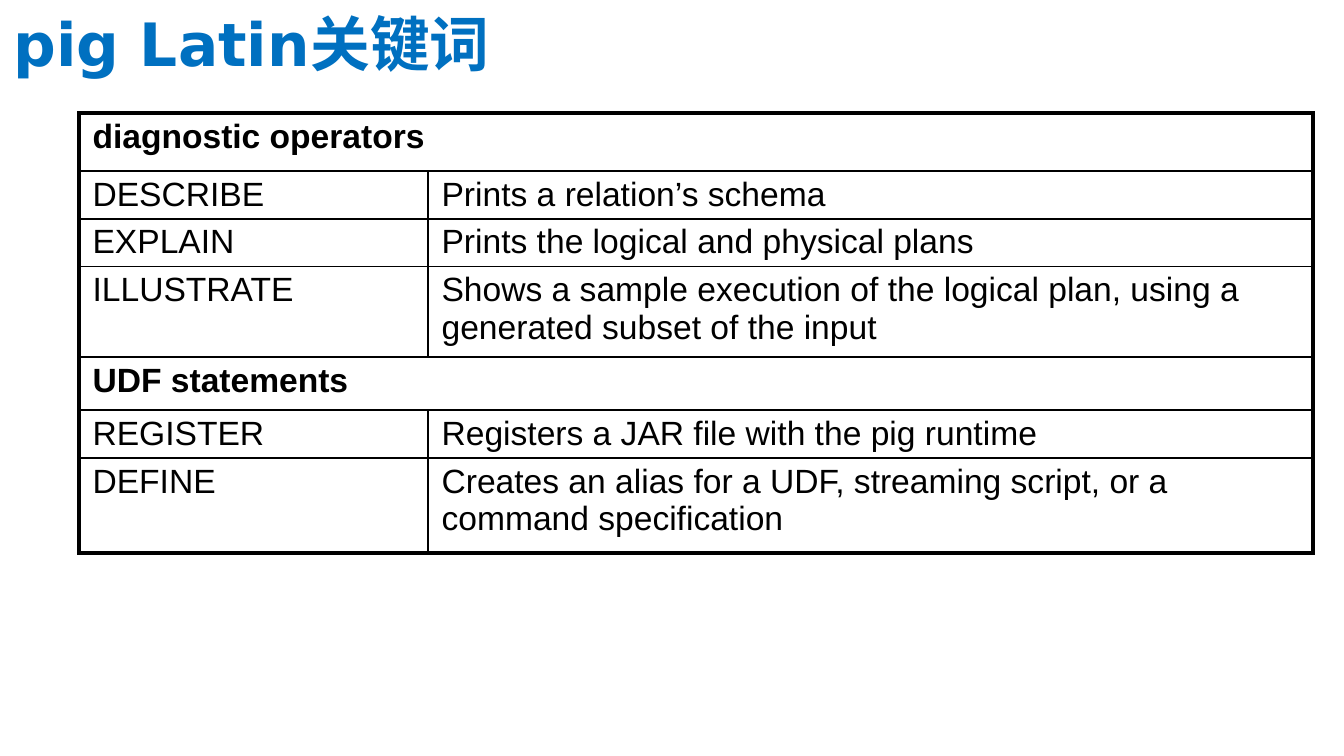
from lxml import etree
from pptx import Presentation
from pptx.dml.color import RGBColor
from pptx.enum import text
from pptx.oxml import ns
from pptx.util import Pt

BLACK = RGBColor(0x00, 0x00, 0x00)
BLUE = RGBColor(0x00, 0x70, 0xC0)

COLUMN_WIDTHS = [187, 474]
# (height, texts); a row with one text is a heading across the table
ROWS = [
    (31, ["diagnostic operators"]),
    (25.6, ["DESCRIBE", "Prints a relation’s schema"]),
    (25.6, ["EXPLAIN", "Prints the logical and physical plans"]),
    (48.6, ["ILLUSTRATE", "Shows a sample execution of the logical plan, "
            "using a generated subset of the input"]),
    (28.4, ["UDF statements"]),
    (25.6, ["REGISTER", "Registers a JAR file with the pig runtime"]),
    (51, ["DEFINE", "Creates an alias for a UDF, streaming script, "
          "or a command specification"]),
]


class SlideBuilder:
    title_font, title_size = "DejaVu Sans", 32
    body_font, body_size = "Arial", 18
    outer_line, inner_line = 2.25, 1

    def __init__(self, page):
        self.page = page

    def add_span(self, para, words, font, size, color, bold):
        span = para.add_run()
        span.text = words
        span.font.name = font
        span.font.size = Pt(size)
        span.font.color.rgb = color
        span.font.bold = bold

    def add_title(self, words, left, top, width, height):
        box = self.page.shapes.add_textbox(Pt(left), Pt(top), Pt(width), Pt(height))
        box.text_frame.word_wrap = True
        box.text_frame.auto_size = text.MSO_AUTO_SIZE.SHAPE_TO_FIT_TEXT
        self.add_span(box.text_frame.paragraphs[0], words, self.title_font,
                      self.title_size, BLUE, True)

    def set_borders(self, cell, widths):
        """Draw black cell borders; widths maps L, R, T, B to points."""
        props = cell._tc.get_or_add_tcPr()
        for position, (side, width) in enumerate(widths.items()):
            line = etree.Element(ns.qn(f"a:ln{side}"), w=str(Pt(width)))
            fill = etree.SubElement(line, ns.qn("a:solidFill"))
            etree.SubElement(fill, ns.qn("a:srgbClr"), val=str(BLACK))
            props.insert(position, line)

    def add_table(self, rows, column_widths, left, top):
        height = sum(row_height for row_height, _ in rows)
        table = self.page.shapes.add_table(
            len(rows), len(column_widths), Pt(left), Pt(top),
            Pt(sum(column_widths)), Pt(height)).table
        table.first_row = table.horz_banding = False
        for column, width in zip(table.columns, column_widths):
            column.width = Pt(width)
        last_row, last_column = len(rows) - 1, len(column_widths) - 1
        for i, (row_height, texts) in enumerate(rows):
            table.rows[i].height = Pt(row_height)
            heading = len(texts) == 1
            if heading:
                table.cell(i, 0).merge(table.cell(i, last_column))
            for j in range(len(column_widths)):
                cell = table.cell(i, j)
                cell.fill.background()
                cell.margin_left = cell.margin_right = Pt(7.2)
                cell.margin_top = cell.margin_bottom = Pt(2.5)
                edges = {"L": j == 0, "R": heading or j == last_column,
                         "T": i == 0, "B": i == last_row}
                self.set_borders(cell, {
                    side: self.outer_line if outer else self.inner_line
                    for side, outer in edges.items()})
                if j < len(texts):
                    self.add_span(cell.text_frame.paragraphs[0], texts[j],
                                  self.body_font, self.body_size, BLACK, heading)


def main():
    deck = Presentation()
    deck.slide_width, deck.slide_height = Pt(720), Pt(405)
    builder = SlideBuilder(deck.slides.add_slide(deck.slide_layouts[6]))
    builder.add_table(ROWS, COLUMN_WIDTHS, left=42.4, top=60.6)
    builder.add_title("pig Latin关键词", left=0, top=0, width=711, height=46)
    deck.save("out.pptx")


if __name__ == "__main__":
    main()
